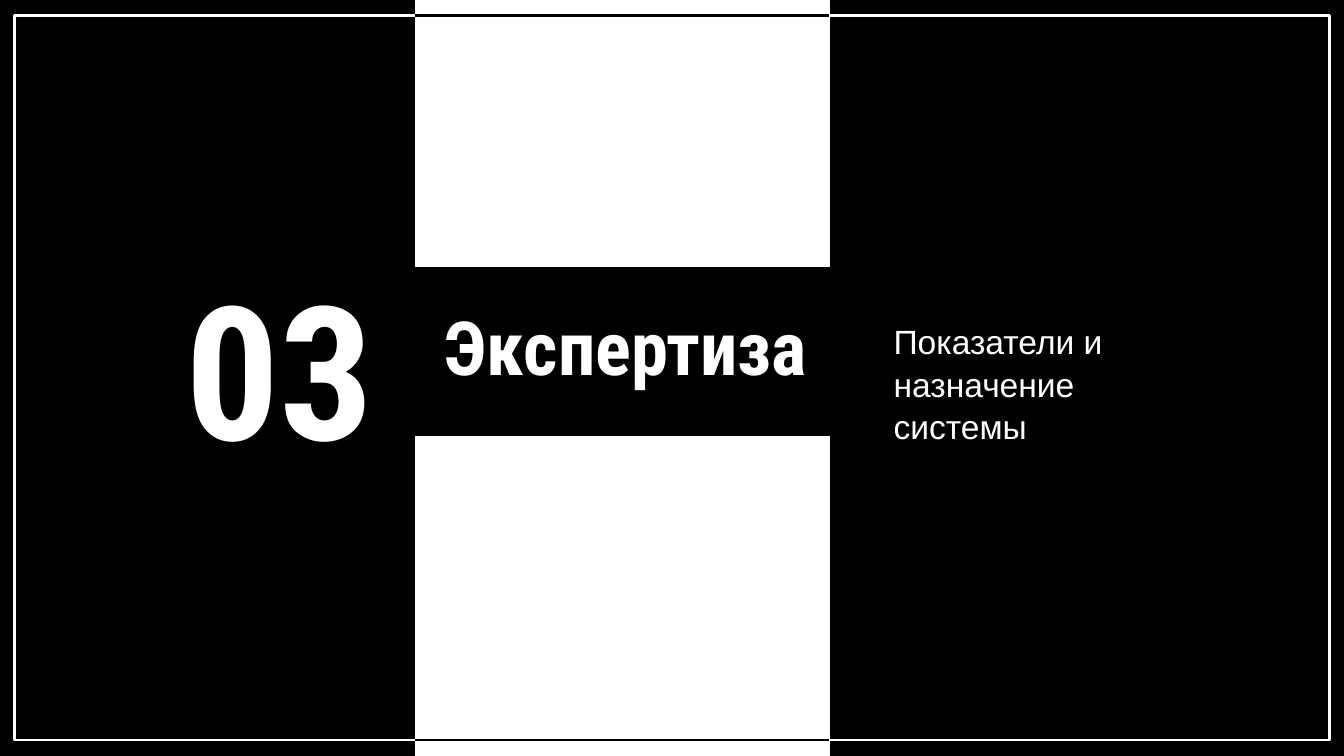
"""Build the section-opening slide for chapter 03."""
from typing import NamedTuple, Optional

from lxml import etree
from pptx import Presentation
from pptx.dml.color import RGBColor
from pptx.enum.shapes import MSO_CONNECTOR, MSO_SHAPE
from pptx.enum.text import MSO_ANCHOR, PP_ALIGN
from pptx.oxml.ns import qn
from pptx.util import Inches, Pt

RECTANGLE = MSO_SHAPE.RECTANGLE
STRAIGHT = MSO_CONNECTOR.STRAIGHT
TOP, MIDDLE, BOTTOM = MSO_ANCHOR.TOP, MSO_ANCHOR.MIDDLE, MSO_ANCHOR.BOTTOM
LEFT, CENTER = PP_ALIGN.LEFT, PP_ALIGN.CENTER

BLACK, WHITE = "000000", "FFFFFF"
HEADING, BODY = "Roboto Condensed", "Arial"
WIDTH = Inches(10)
HEIGHT = WIDTH * 9 // 16
INSET = Inches(0.1)
FRAME_X, FRAME_Y = 1.1, 2.1
BAND_LEFT, BAND_WIDTH = 30.9, 30.8
GAP_TOP, GAP_BOTTOM = 35.2, 57.75


class Area(NamedTuple):
    """Left, top, width and height in percent of the slide."""

    left: float
    top: float
    width: float
    height: float

    def emu(self) -> tuple[int, int, int, int]:
        """Return the area in slide units."""
        return (across(self.left), down(self.top),
                across(self.width), down(self.height))


class Panel(NamedTuple):
    """A rectangle with an optional fill."""

    area: Area
    fill: Optional[str]
    weight: float


def across(percent: float) -> int:
    """Return a share of the slide width."""
    return round(WIDTH * percent / 100)


def down(percent: float) -> int:
    """Return a share of the slide height."""
    return round(HEIGHT * percent / 100)


def color(code: str) -> RGBColor:
    """Return the colour for a hex string."""
    return RGBColor.from_string(code)


def draw_panel(slide, panel: Panel) -> None:
    """Draw a white-edged rectangle."""
    rectangle = slide.shapes.add_shape(RECTANGLE, *panel.area.emu())
    rectangle.shadow.inherit = False
    if panel.fill is None:
        rectangle.fill.background()
    else:
        rectangle.fill.solid()
        rectangle.fill.fore_color.rgb = color(panel.fill)
    rectangle.line.color.rgb = color(WHITE)
    rectangle.line.width = Pt(panel.weight)


def draw_rule(slide, height: float) -> None:
    """Draw the black stretch of the frame across the white band."""
    start, end = across(BAND_LEFT), across(BAND_LEFT + BAND_WIDTH)
    rule = slide.shapes.add_connector(
        STRAIGHT, start, down(height), end, down(height))
    rule.line.color.rgb = color(BLACK)
    rule.line.width = Pt(1.5)
    etree.SubElement(rule._element.spPr, qn("a:effectLst"))


def write(slide, text: str, area: Area, *, size: float, font: str = HEADING,
          bold: bool = True, align=CENTER, anchor=TOP,
          spacing: float = 1.0) -> None:
    """Write white text into an area."""
    frame = slide.shapes.add_textbox(*area.emu()).text_frame
    frame.word_wrap = True
    frame.vertical_anchor = anchor
    frame.margin_left = frame.margin_right = INSET
    frame.margin_top = frame.margin_bottom = INSET
    paragraph = frame.paragraphs[0]
    paragraph.alignment = align
    paragraph.line_spacing = spacing
    run = paragraph.add_run()
    run.text = text
    run.font.name = font
    run.font.size = Pt(size)
    run.font.bold = bold
    run.font.color.rgb = color(WHITE)


def main() -> None:
    """Compose and save the slide."""
    deck = Presentation()
    deck.slide_width, deck.slide_height = WIDTH, HEIGHT
    slide = deck.slides.add_slide(deck.slide_layouts[6])
    slide.background.fill.solid()
    slide.background.fill.fore_color.rgb = color(BLACK)

    frame = Area(FRAME_X, FRAME_Y, 100 - 2 * FRAME_X, 100 - 2 * FRAME_Y)
    draw_panel(slide, Panel(frame, None, 1.5))
    write(slide, "03", Area(11.7, 39.3, 18.2, 18.1), size=100, anchor=MIDDLE)
    write(slide, "Экспертиза", Area(22.9, 38.05, 47.3, 24), size=40)
    write(slide, "Показатели и назначение системы",
          Area(65.5, 39.3, 21.2, 21.5), size=18, font=BODY, bold=False,
          align=LEFT, anchor=BOTTOM, spacing=1.05)
    for top, bottom in ((GAP_BOTTOM, 100), (0, GAP_TOP)):
        band = Area(BAND_LEFT, top, BAND_WIDTH, bottom - top)
        draw_panel(slide, Panel(band, WHITE, 0.75))
    for height in (FRAME_Y, 100 - FRAME_Y):
        draw_rule(slide, height)
    deck.save("out.pptx")


if __name__ == "__main__":
    main()
